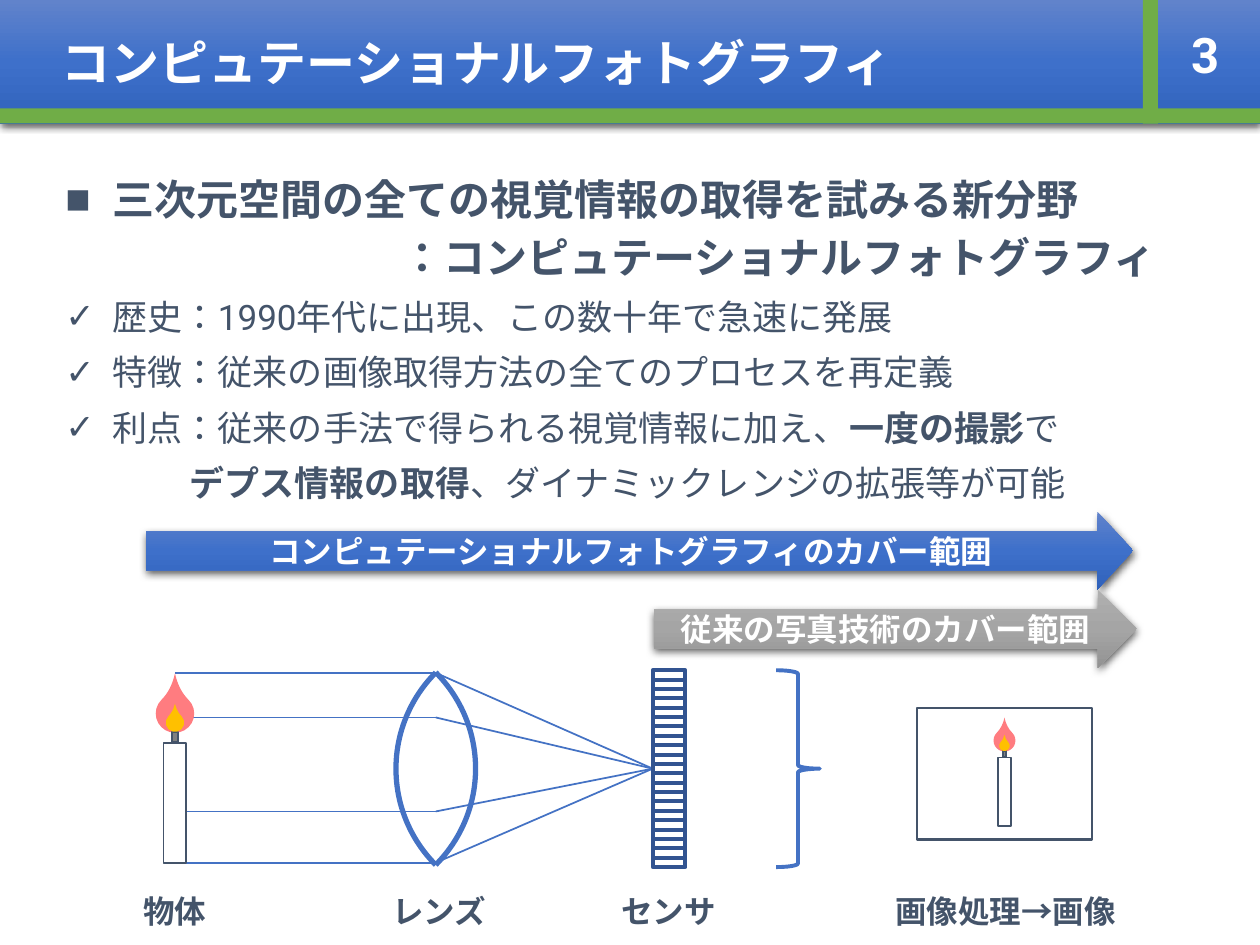
import math

from lxml import etree
from pptx import Presentation, util as u
from pptx.dml import color
from pptx.enum import lang, shapes, text
from pptx.oxml import ns

Pt = u.Pt
SHAPE = shapes.MSO_SHAPE
BLUE, NAVY, SLATE, GREEN, WHITE = "4472C4", "325491", "44546A", "70AD47", "FFFFFF"
BLUE_RAMP = ("6183CB", "3E70CA", "3062BB")
GREY_RAMP = ("AFAFAF", "A5A5A5", "939393")


def rgb(value):
    return color.RGBColor.from_string(value)


def child(parent, tag, **attributes):
    return etree.SubElement(parent, ns.qn(tag), {k: str(v) for k, v in attributes.items()})


def place(item, left, top, width, height):
    item.left, item.top, item.width, item.height = Pt(left), Pt(top), Pt(width), Pt(height)


def style(para, size, bold, tint):
    font = para.font
    font.name, font.size, font.bold = "Roboto", Pt(size), bold
    font.color.rgb = rgb(tint)
    font.language_id = lang.MSO_LANGUAGE_ID.JAPANESE


def add_shape(page, kind, left, top, width, height, fill=None, line=None, weight=1, turn=0):
    item = page.shapes.add_shape(kind, Pt(left), Pt(top), Pt(width), Pt(height))
    item.shadow.inherit = False
    item.rotation = turn
    if fill:
        item.fill.solid()
        item.fill.fore_color.rgb = rgb(fill)
    else:
        item.fill.background()
    if line:
        item.line.color.rgb = rgb(line)
        item.line.width = Pt(weight)
    else:
        item.line.fill.background()
    return item


def add_line(page, start, end):
    line = page.shapes.add_connector(shapes.MSO_CONNECTOR.STRAIGHT, *map(Pt, start + end))
    line.line.color.rgb = rgb(BLUE)
    line.line.width = Pt(1)
    child(line._element.spPr, "a:effectLst")


def shade(item, ramp):
    item.fill.gradient()
    item.fill.gradient_angle = 270
    properties = item._element.spPr
    stops = properties.find(".//" + ns.qn("a:gsLst"))
    for stop in list(stops):
        stops.remove(stop)
    for position, value in zip((0, 50000, 100000), ramp):
        child(child(stops, "a:gs", pos=position), "a:srgbClr", val=value)
    item.shadow.inherit = False
    effects = properties.find(ns.qn("a:effectLst"))
    shadow = child(effects, "a:outerShdw", blurRad=Pt(4.5), dist=Pt(1.5), dir=5400000,
                   algn="ctr", rotWithShape=0)
    child(child(shadow, "a:srgbClr", val="000000"), "a:alpha", val=63000)


def add_caption(page, words, center, top, width, height, size, tint):
    box = page.shapes.add_textbox(Pt(center - width / 2), Pt(top), Pt(width), Pt(height))
    box.text_frame.word_wrap = True
    para = box.text_frame.paragraphs[0]
    para.text = words
    para.alignment = text.PP_ALIGN.CENTER
    para.line_spacing = 0.9
    style(para, size, True, tint)
    return box


def add_header(page, width, height, number):
    title = page.shapes.title
    place(title, 0, 0, width, height)
    shade(title, BLUE_RAMP)
    frame = title.text_frame
    frame.auto_size = text.MSO_AUTO_SIZE.NONE
    frame.vertical_anchor = text.MSO_ANCHOR.MIDDLE
    frame.margin_left = Pt(35.2)
    para = frame.paragraphs[0]
    para.text = "コンピュテーショナルフォトグラフィ"
    para.alignment = text.PP_ALIGN.LEFT
    style(para, 28, True, WHITE)

    rule, cell = 8.6, 62.6
    add_shape(page, SHAPE.RECTANGLE, 0, height - rule, width, rule, GREEN)
    add_shape(page, SHAPE.RECTANGLE, width - cell - rule / 2, 0, rule, height, GREEN)
    box = add_caption(page, number, width - cell / 2, 0, cell, height - rule, 28, WHITE)
    box.text_frame.vertical_anchor = text.MSO_ANCHOR.MIDDLE
    box.text_frame.paragraphs[0].line_spacing = 1.0


def add_body(page, left, top, width, height):
    body = page.placeholders[1]
    place(body, left, top, width, height)
    frame = body.text_frame
    frame.auto_size = text.MSO_AUTO_SIZE.NONE
    frame.vertical_anchor = text.MSO_ANCHOR.TOP
    rows = [
        ("■", 27, 24, [("三次元空間の全ての視覚情報の取得を試みる新分野", True)]),
        (None, 192, 24, [("：コンピュテーショナルフォトグラフィ", True)]),
        ("✓", 27, 20, [("歴史：1990年代に出現、この数十年で急速に発展", False)]),
        ("✓", 27, 20, [("特徴：従来の画像取得方法の全てのプロセスを再定義", False)]),
        ("✓", 27, 20, [("利点：従来の手法で得られる視覚情報に加え、", False),
                       ("一度の撮影", True), ("で", False)]),
        (None, 71, 20, [("デプス情報の取得", True),
                        ("、ダイナミックレンジの拡張等が可能", False)]),
    ]
    for index, (bullet, indent, size, spans) in enumerate(rows):
        para = frame.add_paragraph() if index else frame.paragraphs[0]
        para.line_spacing = 0.9 if size == 24 else 1.0
        para.space_before = Pt(7.5 if index else 0)
        properties = para._p.get_or_add_pPr()
        properties.set("marL", str(Pt(indent)))
        properties.set("indent", str(Pt(-indent if bullet else 0)))
        if bullet:
            child(properties, "a:buChar", char=bullet)
        else:
            child(properties, "a:buNone")
        style(para, size, spans[0][1], SLATE)
        for words, bold in spans:
            span = para.add_run()
            span.text = words
            if len(spans) > 1:
                span.font.bold = bold


def add_range_arrow(page, words, ramp, head, left, top, width, height):
    arrow = add_shape(page, SHAPE.RIGHT_ARROW, left, top, width, height)
    arrow.adjustments[1] = head
    shade(arrow, ramp)
    arrow.text_frame.vertical_anchor = text.MSO_ANCHOR.MIDDLE
    para = arrow.text_frame.paragraphs[0]
    para.text = words
    para.alignment = text.PP_ALIGN.CENTER
    style(para, 18, True, WHITE)


def add_candle(page, center, top, scale=1.0):
    parts = [
        (SHAPE.RECTANGLE, 28, 13, 68.5, WHITE, SLATE),
        (SHAPE.TEAR, 0, 22, 22, "FF7C80", None),
        (SHAPE.RECTANGLE, 21.8, 3.6, 5.6, "808080", SLATE),
        (SHAPE.TEAR, 11, 10.5, 10.5, "FFC000", None),
    ]
    for kind, offset, width, height, fill, line in parts:
        width, height = width * scale, height * scale
        item = add_shape(page, kind, center - width / 2, top + offset * scale,
                         width, height, fill, line)
        if kind == SHAPE.TEAR:
            item.rotation = 315
            item.adjustments[0] = 1.476


def add_camera(page, left, top, height):
    wick, lens, sensor, middle = left + 16, left + 165, left + 289, top + height / 2
    for offset in (1.5, 27, 80.7, 110):
        add_line(page, (wick, top + offset), (lens, top + offset))
        add_line(page, (lens, top + offset), (sensor, middle))
    radius = 77.75
    shift = radius * math.cos(math.pi / 4)
    for center, turn in ((lens - shift, 45), (lens + shift, 225)):
        add_shape(page, SHAPE.ARC, center - radius, middle - radius, 2 * radius, 2 * radius,
                  line=BLUE, weight=3, turn=turn)
    cells = 21
    pitch = height / cells
    for index in range(cells):
        add_shape(page, SHAPE.RECTANGLE, sensor, top + index * pitch, 18.7, pitch,
                  line=NAVY, weight=2.25)
    add_candle(page, wick, top + 13.7)
    add_shape(page, SHAPE.RIGHT_BRACE, left + 359.5, top, 25, height, line=BLUE, weight=2.25)
    add_shape(page, SHAPE.RECTANGLE, left + 440, top + 21.6, 100, 75, line=SLATE, weight=1.5)
    add_candle(page, left + 490, top + 33.9, 0.57)
    for words, center in (("物体", 16), ("レンズ", 167), ("センサ", 298), ("画像処理→画像", 490.5)):
        add_caption(page, words, left + center, top + 125.5, 160, 30, 18, SLATE)


def main():
    deck = Presentation()
    deck.slide_width, deck.slide_height = Pt(720), Pt(540)
    page = deck.slides.add_slide(deck.slide_layouts[1])
    add_header(page, 720, 70.6, "3")
    add_body(page, 30.2, 98.6, 659, 300)
    add_range_arrow(page, "コンピュテーショナルフォトグラフィのカバー範囲", BLUE_RAMP, 0.459,
                    83.5, 292.3, 564, 44.6)
    add_camera(page, 84, 383, 112.5)
    add_range_arrow(page, "従来の写真技術のカバー範囲", GREY_RAMP, 0.5, 373.7, 337, 276, 44.6)
    deck.save("out.pptx")


if __name__ == "__main__":
    main()
